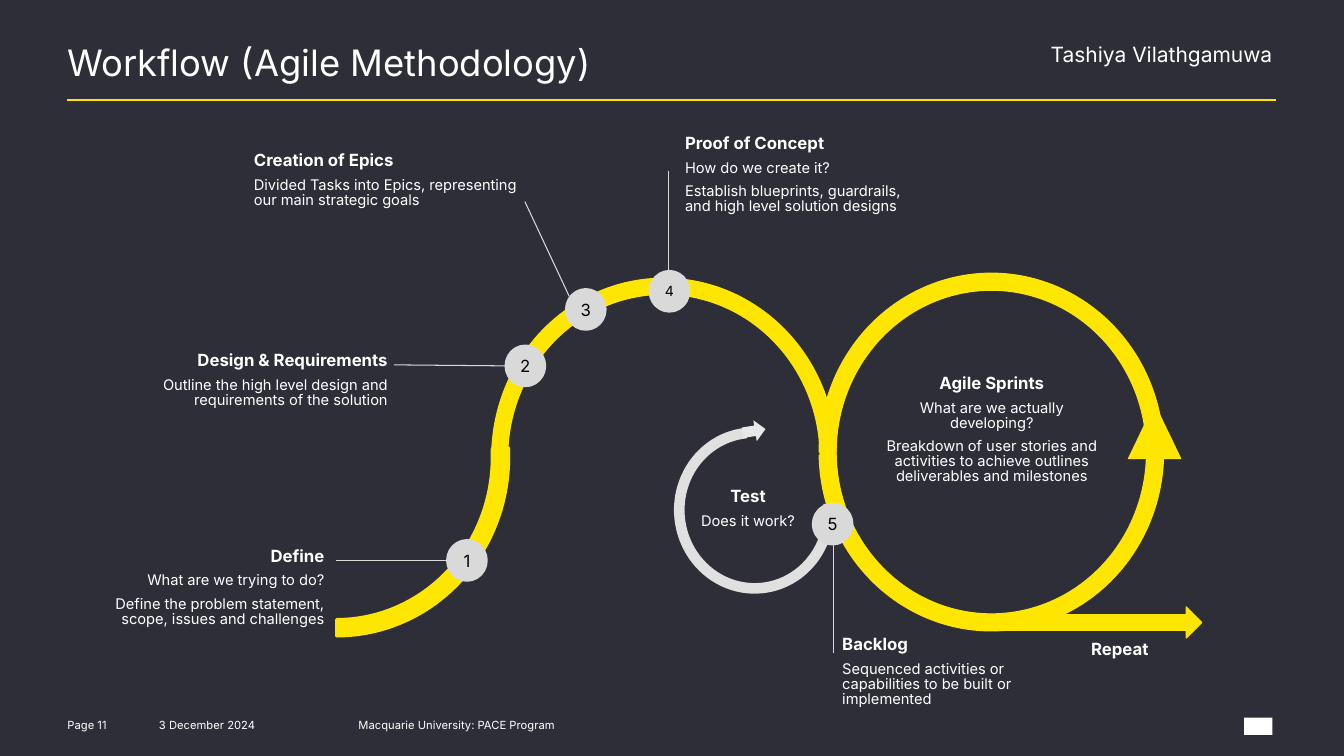
from collections import namedtuple

from lxml import etree
from pptx import Presentation
from pptx import util as u
from pptx.dml.color import RGBColor
from pptx.enum import shapes, text
from pptx.oxml.ns import qn

PX = 9144  # 100 px to the inch
FONT = "Inter"
DARK = RGBColor(0x2E, 0x2E, 0x38)
YELLOW = RGBColor(0xFF, 0xE6, 0x00)
WHITE = RGBColor(0xFF, 0xFF, 0xFF)
BLACK = RGBColor(0x00, 0x00, 0x00)
BADGE = RGBColor(0xD9, 0xD9, 0xD9)
TEST_ARC = RGBColor(0xE0, 0xE0, 0xE0)
TEST_TIP = RGBColor(0xE8, 0xE8, 0xE8)

SHAPE = shapes.MSO_SHAPE
LEFT, CENTER, RIGHT = text.PP_ALIGN.LEFT, text.PP_ALIGN.CENTER, text.PP_ALIGN.RIGHT
TOP, MIDDLE = text.MSO_ANCHOR.TOP, text.MSO_ANCHOR.MIDDLE

Box = namedtuple("Box", "left top width height")


def inside(region, left, top, width, height):
    return Box(region.left + left, region.top + top, width, height)


def emu(box):
    return [u.Emu(length * PX) for length in box]


def set_frame(frame, insets, anchor=TOP):
    frame.word_wrap = True
    frame.vertical_anchor = anchor
    (frame.margin_left, frame.margin_top,
     frame.margin_right, frame.margin_bottom) = emu(insets)


def style(para, size, color=WHITE, bold=False, align=LEFT):
    para.alignment = align
    for span in para.runs:
        span.font.name = FONT
        span.font.size = u.Pt(size)
        span.font.bold = bold
        span.font.color.rgb = color


def add_label(page, box, words, size, insets=(0, 0, 0, 0), anchor=TOP):
    label = page.shapes.add_textbox(*emu(box))
    set_frame(label.text_frame, insets, anchor)
    para = label.text_frame.paragraphs[0]
    para.text = words
    style(para, size)
    return para


def add_callout(page, box, align, heading, *details):
    callout = page.shapes.add_textbox(*emu(box))
    frame = callout.text_frame
    set_frame(frame, (0, 4, 0, 0))
    frame.auto_size = text.MSO_AUTO_SIZE.SHAPE_TO_FIT_TEXT
    frame.text = "\n".join((heading, *details))
    for index, para in enumerate(frame.paragraphs):
        para.line_spacing = 0.85
        if index == 0:
            style(para, 12, bold=True, align=align)
        else:
            para.space_before = u.Pt(6)
            style(para, 10.5, align=align)


def add_figure(page, kind, box, color, outline=0, rotation=0):
    figure = page.shapes.add_shape(kind, *emu(box))
    figure.shadow.inherit = False
    figure.rotation = rotation
    figure.fill.solid()
    figure.fill.fore_color.rgb = color
    if outline:
        figure.line.color.rgb = color
        figure.line.width = u.Pt(outline)
    else:
        figure.line.fill.background()
    return figure


def add_arc(page, box, start, end, thickness, color, outline=0, rotation=0):
    """Block arc between two angles in degrees, with a band of thickness px."""
    arc = add_figure(page, SHAPE.BLOCK_ARC, box, color, outline, rotation)
    arc.adjustments[0] = start * 0.6
    arc.adjustments[1] = end * 0.6
    arc.adjustments[2] = thickness / min(box.width, box.height)


def add_badge(page, box, number, size):
    badge = add_figure(page, SHAPE.OVAL, box, BADGE, outline=6)
    set_frame(badge.text_frame, (4, 4, 4, 4), MIDDLE)
    para = badge.text_frame.paragraphs[0]
    para.text = number
    style(para, size, BLACK, align=CENTER)


def add_rule(page, region, start, end, color, width):
    ends = [region.left + start[0], region.top + start[1],
            region.left + end[0], region.top + end[1]]
    rule = page.shapes.add_connector(shapes.MSO_CONNECTOR.STRAIGHT, *emu(ends))
    rule.line.color.rgb = color
    rule.line.width = u.Pt(width)
    etree.SubElement(rule._element.spPr, qn("a:effectLst"))


def draw_header(page, region):
    add_rule(page, region, (0, 68), (1200, 68), YELLOW, 1.5)
    title = add_label(page, inside(region, 0, 1, 1229, 65),
                      "Workflow (Agile Methodology)", 26, anchor=MIDDLE)
    title.line_spacing = 0.85
    add_label(page, inside(region, 966, 0, 263, 45),
              "Tashiya Vilathgamuwa", 15, (10, 10, 10, 10))


def draw_workflow(page, region):
    # Path: test loop, rise, opening curve and sprint loop
    add_arc(page, inside(region, 559, 294, 159, 165), 180, 89.75, 10.5,
            TEST_ARC, rotation=174.6)
    add_arc(page, inside(region, 378, 146, 342, 355), 180.22, 359.8, 16, YELLOW, 0.75)
    add_arc(page, inside(region, 53, 146, 342, 355), 176.91, 269.97, 16.5,
            YELLOW, 2, rotation=180)
    add_arc(page, inside(region, 703, 141, 342, 355), 180, 178.96, 17, YELLOW, 0.75)

    # Arrow tips
    add_figure(page, SHAPE.RIGHT_ARROW, inside(region, 627, 287, 23, 21),
               TEST_TIP, rotation=350.8)
    add_figure(page, SHAPE.RIGHT_ARROW, inside(region, 863, 472, 220, 31), YELLOW, 0.75)
    add_figure(page, SHAPE.ISOSCELES_TRIANGLE, inside(region, 1010, 271, 52, 54),
               YELLOW, 0.75)

    # Callouts
    callouts = [
        ((973, 503, 125, 21), LEFT, "Repeat"),
        ((767, 239, 215, 113), CENTER, "Agile Sprints",
         "What are we actually developing?",
         "Breakdown of user stories and activities to achieve outlines "
         "deliverables and milestones"),
        ((570, 351, 125, 45), CENTER, "Test", "Does it work?"),
        ((726, 498, 231, 75), LEFT, "Backlog",
         "Sequenced activities or capabilities to be built or implemented"),
        ((570, 1, 231, 83), LEFT, "Proof of Concept", "How do we create it?",
         "Establish blueprints, guardrails, and high level solution designs"),
        ((0, 410, 212, 83), RIGHT, "Define", "What are we trying to do?",
         "Define the problem statement, scope, issues and challenges"),
        ((51, 216, 224, 60), RIGHT, "Design & Requirements",
         "Outline the high level design and requirements of the solution"),
        ((142, 18, 265, 60), LEFT, "Creation of Epics",
         "Divided Tasks into Epics, representing our main strategic goals"),
    ]
    for place, align, *words in callouts:
        add_callout(page, inside(region, *place), align, *words)

    # Numbered badges, each with its leader line
    steps = [
        ("1", 12, (337, 409), (337, 426), (224, 426)),
        ("2", 12, (395, 216), (395, 233), (281, 232)),
        ("3", 12, (455, 160), (455, 164), (411, 70)),
        ("4", 10, (538, 142), (554, 142), (554, 40)),
        ("5", 12, (700, 373), (717, 407), (717, 518)),
    ]
    for number, size, corner, start, end in steps:
        add_badge(page, inside(region, *corner, 33, 34), number, size)
        add_rule(page, region, start, end, BADGE, 0.75)


def draw_footer(page, region):
    add_label(page, inside(region, 0, 13, 73, 20), "Page 11", 8, (0, 5, 10, 5))
    add_label(page, inside(region, 81, 13, 130, 20), "3 December 2024", 8, (10, 5, 10, 5))
    add_label(page, inside(region, 279, 13, 338, 20),
              "Macquarie University: PACE Program", 8, (10, 5, 10, 5))
    # Plain emblem
    add_figure(page, SHAPE.RECTANGLE, inside(region, 1168, 17, 28, 17), WHITE)


def main():
    deck = Presentation()
    deck.slide_width, deck.slide_height = emu((1334, 750))
    page = deck.slides.add_slide(deck.slide_layouts[6])
    page.background.fill.solid()
    page.background.fill.fore_color.rgb = DARK
    draw_header(page, Box(67, 31, 1229, 68))
    draw_workflow(page, Box(110, 130, 1098, 575))
    draw_footer(page, Box(67, 695, 1201, 34))
    deck.save("out.pptx")


if __name__ == "__main__":
    main()
